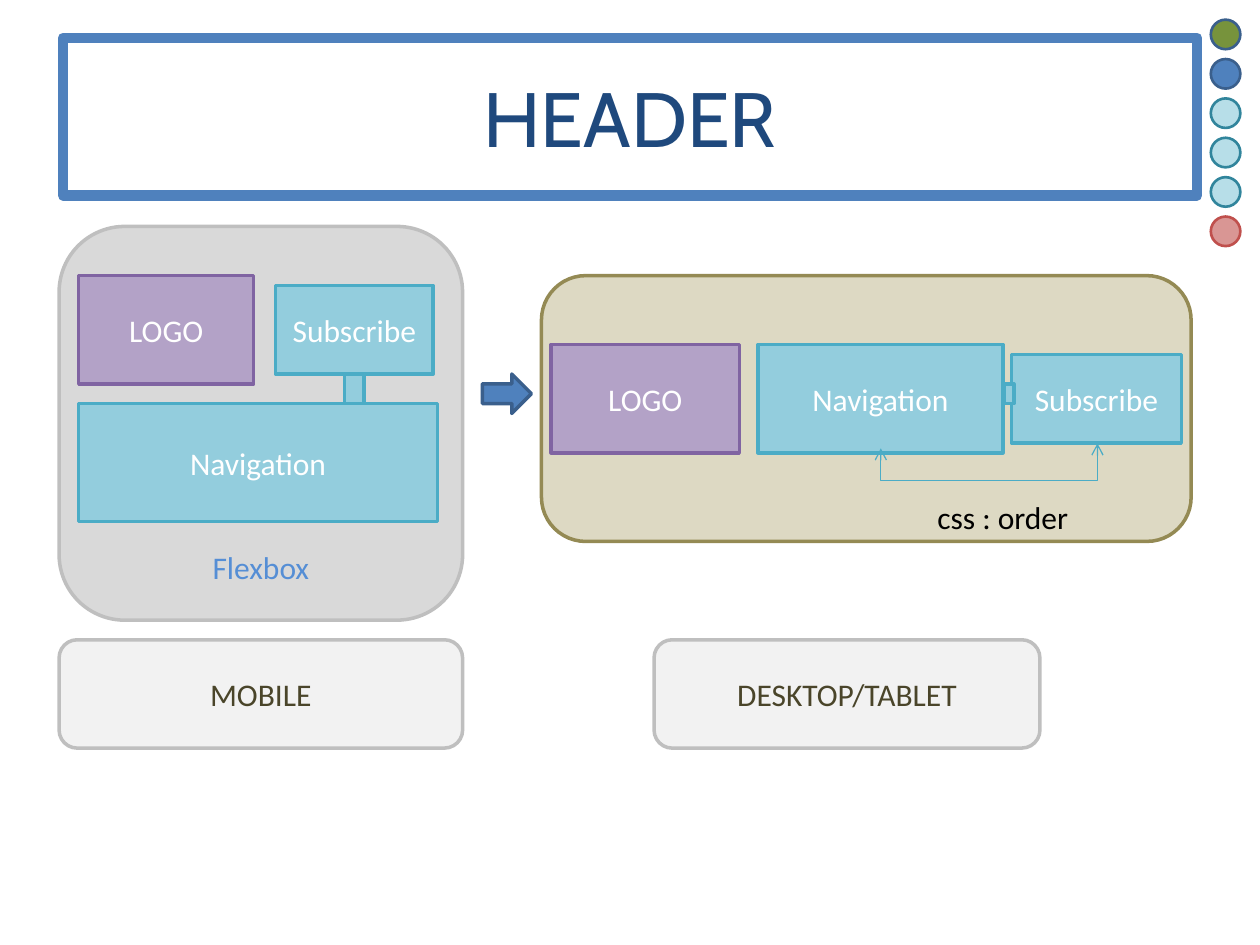
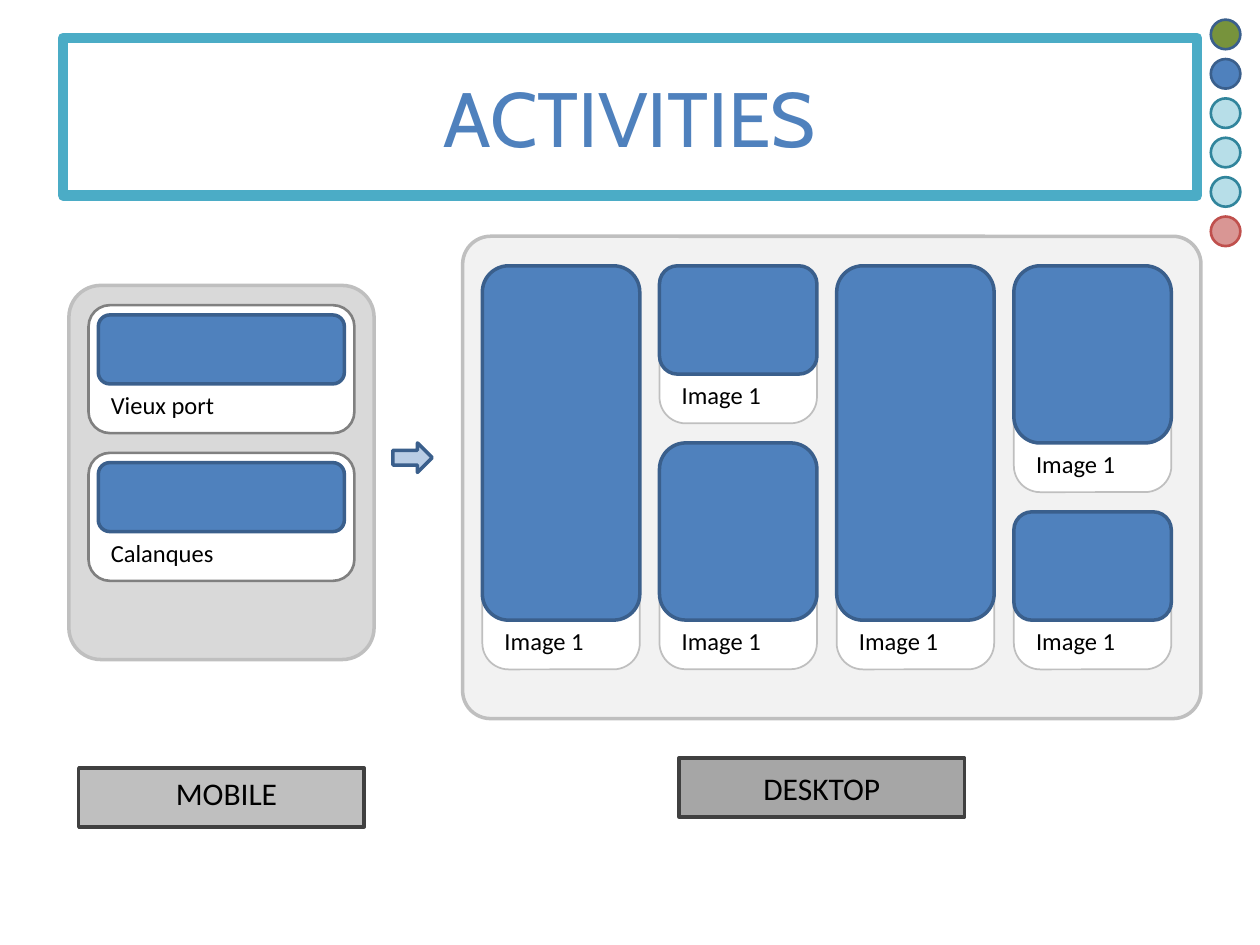
from dataclasses import dataclass

from lxml.etree import SubElement
from pptx import Presentation
from pptx.dml.color import RGBColor
from pptx.enum.shapes import MSO_CONNECTOR as Link, MSO_SHAPE as Kind
from pptx.enum.text import MSO_ANCHOR as Anchor, MSO_AUTO_SIZE as Fit, PP_ALIGN as Align
from pptx.oxml.ns import qn
from pptx.slide import Slide
from pptx.util import Pt

BLUE, NAVY, DARK_BLUE = "4F81BD", "1F497D", "3A5F8C"
TEAL, SKY, PALE_TEAL, DEEP_TEAL = "4BACC6", "93CDDD", "B7DEE8", "31859C"
PURPLE, LILAC = "8064A2", "B3A2C7"
WHITE, BLACK, OLIVE = "FFFFFF", "000000", "4A452A"
PALE_GRAY, LIGHT_GRAY, GRAY = "F2F2F2", "D9D9D9", "BFBFBF"
MID_GRAY, CHARCOAL = "808080", "404040"
BODY_FONT, TITLE_FONT = "Calibri", "Cabin"

DOT_SIZE, DOT_STEP = 16.9, 22.5
DOTS = [
    ("77933C", DARK_BLUE),
    (BLUE, DARK_BLUE),
    *[(PALE_TEAL, DEEP_TEAL)] * 3,
    ("D99694", "C0504D"),
]


@dataclass(frozen=True)
class Style:
    fill: str
    line: str
    weight: float = 2
    kind: Kind = Kind.RECTANGLE
    ink: str = WHITE
    corner: float | None = None


@dataclass(frozen=True)
class Box:
    left: float
    top: float
    width: float
    height: float
    style: Style
    text: str = ""


@dataclass(frozen=True)
class Label:
    left: float
    top: float
    width: float
    height: float
    text: str
    size: float = 14
    ink: str = BLACK
    align: Align = Align.LEFT


@dataclass(frozen=True)
class Card:
    column: int
    top: float
    height: float
    frame_drop: float = 0


ROUND = Kind.ROUNDED_RECTANGLE
LOGO = Style(LILAC, PURPLE)
MENU = Style(SKY, TEAL)
CAPTION = Style(PALE_GRAY, GRAY, kind=ROUND, ink=OLIVE)
IMAGE = Style(BLUE, DARK_BLUE, kind=ROUND)
MOBILE_FRAME = Style(WHITE, MID_GRAY, 1.5, ROUND)
DESKTOP_FRAME = Style(WHITE, GRAY, 1, ROUND)

HEADER_BOXES = [
    Box(33.75, 129.4, 230.6, 225, Style(LIGHT_GRAY, GRAY, kind=ROUND)),
    Box(45, 157.5, 100, 61.9, LOGO, "LOGO"),
    Box(157.5, 163.1, 90, 50.6, MENU, "Subscribe"),
    Box(45, 230.6, 205, 67.5, MENU, "Navigation"),
    Box(275.6, 213.75, 28.1, 22.5, Style(BLUE, DARK_BLUE, kind=Kind.RIGHT_ARROW)),
    Box(196.9, 213.75, 11.25, 16.9, MENU),
    Box(33.75, 365.6, 230.6, 61.9, CAPTION, "MOBILE"),
    Box(309.4, 157.5, 371.25, 151.9, Style("DDD9C3", "948A54", kind=ROUND)),
    Box(315, 196.9, 107.5, 61.9, LOGO, "LOGO"),
    Box(578.1, 202.5, 97, 50.6, MENU, "Subscribe"),
    Box(433.1, 196.9, 140, 61.9, MENU, "Navigation"),
    Box(373.75, 365.6, 220.5, 61.9, CAPTION, "DESKTOP/TABLET"),
    Box(573.75, 219.4, 5.6, 11.25, MENU),
]
HEADER_LABELS = [
    Label(95.6, 309.4, 106.9, 29.1, "Flexbox", 18, "558ED5", Align.CENTER),
    Label(528.5, 281.25, 101.5, 29.1, "css : order", 18),
]

ACTIVITY_BOXES = [
    Box(39.4, 163.1, 174.4, 213.75, Style(LIGHT_GRAY, GRAY, kind=ROUND, corner=0.104)),
    Box(264.4, 135, 421.9, 275.6, Style(PALE_GRAY, GRAY, kind=ROUND, corner=0.058)),
    Box(224.5, 253.1, 22.5, 16.9, Style("B9CDE5", DARK_BLUE, kind=Kind.RIGHT_ARROW)),
    Box(45, 438.75, 163.1, 33.75, Style(GRAY, CHARCOAL)),
    Box(388.1, 433.1, 163.1, 33.75, Style("A6A6A6", CHARCOAL, ink=BLACK), "DESKTOP"),
]
MOBILE_CAPTION = Label(61.9, 438.75, 135, 29.1, "MOBILE", 18, align=Align.CENTER)
PLACES = ["Vieux port", "Calanques"]
PLACE_LEFT, PLACE_TOP, PLACE_STEP, PLACE_INSET = 50.6, 174.4, 84.4, 5.6

GALLERY_LEFT, GALLERY_STEP, GALLERY_WIDTH = 275.6, 101.25, 90
CARD_FOOT, CARD_INSET = 28.1, 5.6
CARDS = [
    Card(0, 151.9, 202.5),
    Card(1, 151.9, 61.9),
    Card(1, 253.1, 101.25, CARD_FOOT),
    Card(2, 151.9, 202.5),
    Card(3, 292.5, 61.9),
    Card(3, 151.9, 101.25, CARD_FOOT),
]


def color(value: str) -> RGBColor:
    return RGBColor.from_string(value)


def apply(target, values: dict) -> None:
    for name, value in values.items():
        setattr(target, name, value)


def paint(shape, fill: str, line: str, weight: float) -> None:
    shape.fill.solid()
    shape.fill.fore_color.rgb = color(fill)
    shape.line.color.rgb = color(line)
    shape.line.width = Pt(weight)


def write(frame, text: str, size: float, ink: str, font: str, align: Align, anchor: Anchor) -> None:
    apply(frame, {"word_wrap": True, "auto_size": Fit.NONE, "vertical_anchor": anchor})
    para = frame.paragraphs[0]
    para.alignment = align
    span = para.add_run()
    span.text = text
    apply(span.font, {"name": font, "size": Pt(size)})
    span.font.color.rgb = color(ink)


def draw_box(page: Slide, box: Box) -> None:
    style = box.style
    shape = page.shapes.add_shape(
        style.kind, Pt(box.left), Pt(box.top), Pt(box.width), Pt(box.height)
    )
    shape.shadow.inherit = False
    paint(shape, style.fill, style.line, style.weight)
    if style.corner is not None:
        shape.adjustments[0] = style.corner
    if box.text:
        write(shape.text_frame, box.text, 18, style.ink, BODY_FONT, Align.CENTER, Anchor.MIDDLE)


def draw_label(page: Slide, label: Label) -> None:
    shape = page.shapes.add_textbox(
        Pt(label.left), Pt(label.top), Pt(label.width), Pt(label.height)
    )
    write(shape.text_frame, label.text, label.size, label.ink, BODY_FONT, label.align, Anchor.TOP)


def draw_order_link(page: Slide) -> None:
    link = page.shapes.add_connector(Link.ELBOW, Pt(563.8), Pt(192.9), Pt(566.6), Pt(316.7))
    link.line.color.rgb = color(TEAL)
    link.line.width = Pt(0.75)
    properties = link._element.spPr
    properties.find(qn("a:xfrm")).set("rot", "5400000")
    geometry = properties.find(qn("a:prstGeom"))
    SubElement(geometry.find(qn("a:avLst")), qn("a:gd"), name="adj1", fmla="val 758100")
    for end in ("a:headEnd", "a:tailEnd"):
        SubElement(properties.find(qn("a:ln")), qn(end), type="arrow")
    SubElement(properties, qn("a:effectLst"))


def draw_place(page: Slide, row: int, name: str) -> None:
    left, top = PLACE_LEFT, PLACE_TOP + row * PLACE_STEP
    inner_left, inner_top = left + PLACE_INSET, top + PLACE_INSET
    draw_box(page, Box(left, top, 151.9, 73.1, MOBILE_FRAME))
    draw_box(page, Box(inner_left, inner_top, 140.6, 39.4, IMAGE))
    draw_label(page, Label(inner_left, inner_top + 39.4, 90, 24.2, name))


def draw_card(page: Slide, card: Card) -> None:
    left = GALLERY_LEFT + card.column * GALLERY_STEP
    bottom = card.top + card.height
    frame_top = card.top + card.frame_drop
    frame_height = bottom + CARD_FOOT - frame_top
    draw_box(page, Box(left, frame_top, GALLERY_WIDTH, frame_height, DESKTOP_FRAME))
    draw_box(page, Box(left, card.top, GALLERY_WIDTH, card.height, IMAGE))
    draw_label(page, Label(left + CARD_INSET, bottom, 74, 24.2, "Image 1"))


def add_page(deck, title: str, ink: str, border: str) -> Slide:
    page = deck.slides.add_slide(deck.slide_layouts[5])
    heading = page.shapes.title
    apply(heading, {"left": Pt(36), "top": Pt(21.6), "width": Pt(648), "height": Pt(90)})
    paint(heading, WHITE, border, 6)
    write(heading.text_frame, title, 44, ink, TITLE_FONT, Align.CENTER, Anchor.MIDDLE)
    for row, (fill, line) in enumerate(DOTS):
        style = Style(fill, line, 1.5, Kind.OVAL)
        draw_box(page, Box(691.9, 11.25 + row * DOT_STEP, DOT_SIZE, DOT_SIZE, style))
    return page


def build_header(deck) -> None:
    page = add_page(deck, "HEADER", NAVY, BLUE)
    for box in HEADER_BOXES:
        draw_box(page, box)
    draw_order_link(page)
    for label in HEADER_LABELS:
        draw_label(page, label)


def build_activities(deck) -> None:
    page = add_page(deck, "ACTIVITIES", BLUE, TEAL)
    for box in ACTIVITY_BOXES:
        draw_box(page, box)
    for row, name in enumerate(PLACES):
        draw_place(page, row, name)
    for card in CARDS:
        draw_card(page, card)
    draw_label(page, MOBILE_CAPTION)


def main() -> None:
    deck = Presentation()
    apply(deck, {"slide_width": Pt(720), "slide_height": Pt(540)})
    build_header(deck)
    build_activities(deck)
    deck.save("out.pptx")


if __name__ == "__main__":
    main()
